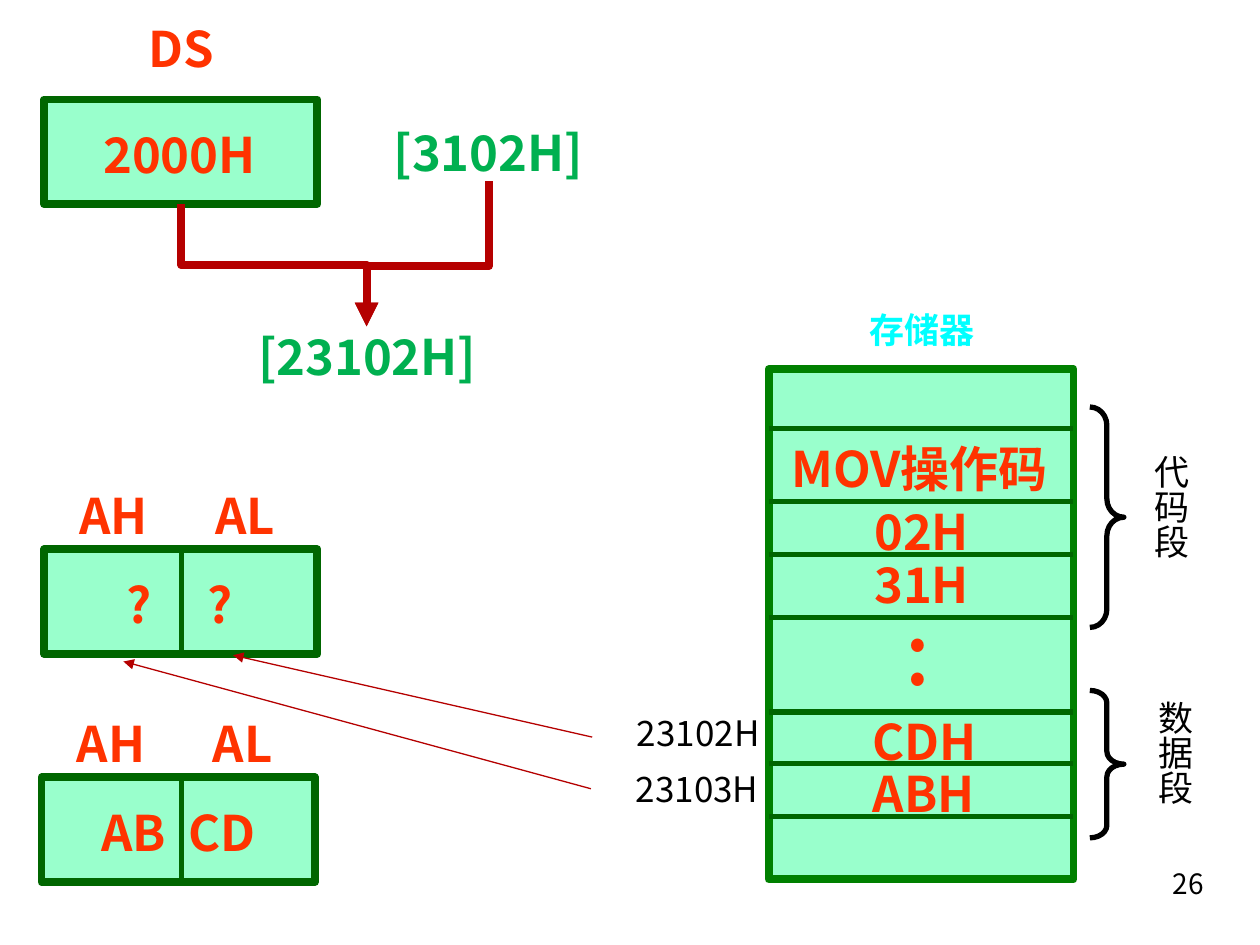
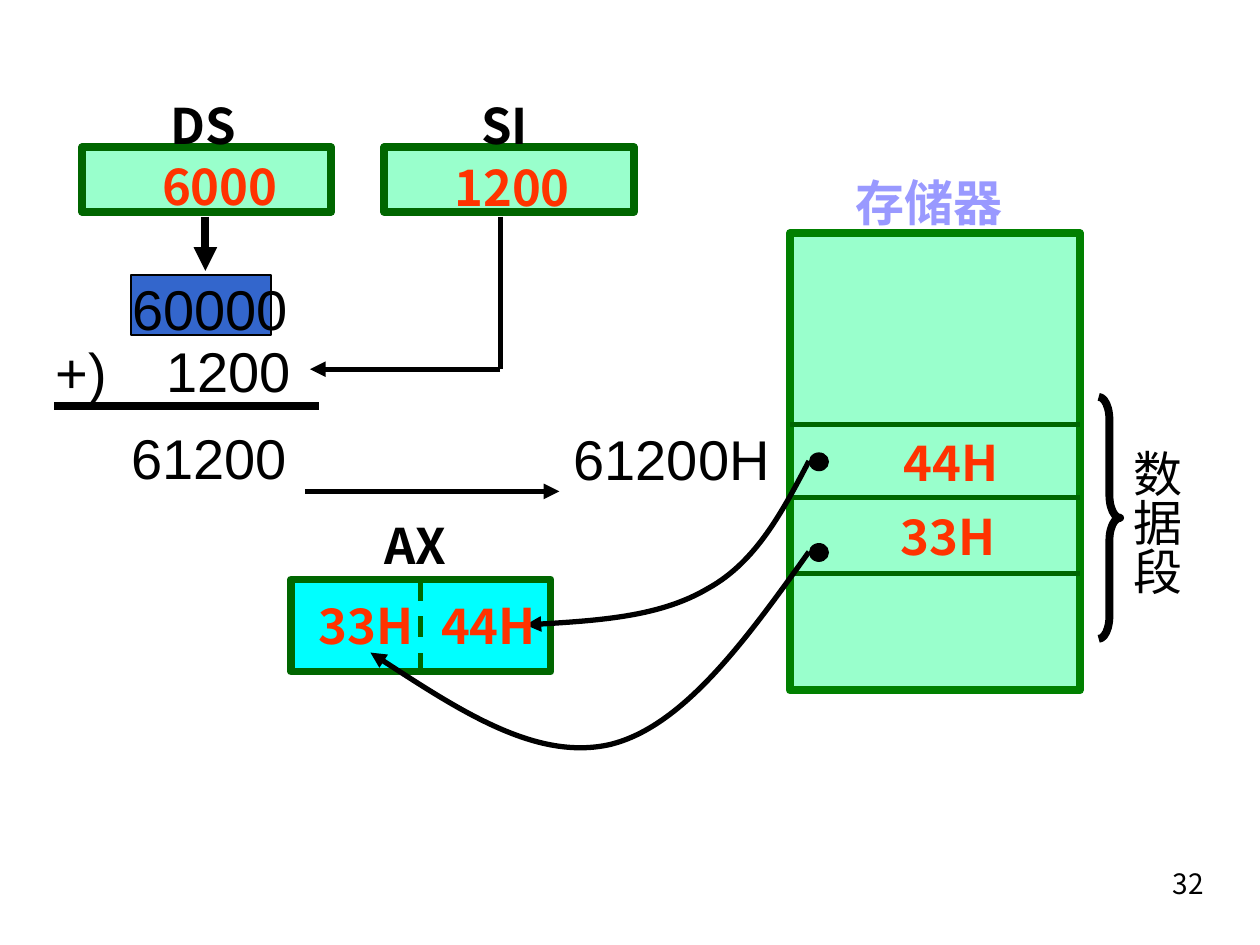
import pptx
import pptx.util
import pptx.dml.color
import pptx.enum.dml
import pptx.enum.shapes
import pptx.enum.text
import pptx.oxml
import pptx.oxml.ns

Inches = pptx.util.Inches
KIND = pptx.enum.shapes.MSO_SHAPE
LINK = pptx.enum.shapes.MSO_CONNECTOR
ALIGN = {
    "l": pptx.enum.text.PP_ALIGN.LEFT,
    "c": pptx.enum.text.PP_ALIGN.CENTER,
    "r": pptx.enum.text.PP_ALIGN.RIGHT,
    "j": pptx.enum.text.PP_ALIGN.JUSTIFY,
}
SANS, CJK = "Arial", "Noto Sans CJK KR"
BLACK, RED, LEAF = "000000", "FF3300", "00B050"
MINT, CYAN, LILAC, BLUE = "99FFCC", "00FFFF", "9999FF", "3366CC"
DARK, GREEN, WINE = "006600", "008000", "B50000"


def color(code):
    """Turn a hex string into a colour."""
    return pptx.dml.color.RGBColor.from_string(code)


def child(parent, tag, **attrs):
    """Append an XML element with attributes and return it."""
    node = pptx.oxml.parse_xml(f"<{tag} {pptx.oxml.ns.nsdecls('a')}/>")
    for key, value in attrs.items():
        node.set(key, str(value))
    parent.append(node)
    return node


def stroke(item, code, width, head=False, dash=False):
    """Set the line of a shape or connector."""
    item.line.color.rgb = color(code)
    item.line.width = pptx.util.Pt(width)
    if dash:
        item.line.dash_style = pptx.enum.dml.MSO_LINE.DASH
    if head:
        child(item.line._get_or_add_ln(), "a:tailEnd", type="triangle")


def write(slide, text, box, size=28, ink=RED, bold=True, font=CJK, align="c",
          inset=(0, 0), space=None, tall=False):
    """Place text in a box, one paragraph for each line."""
    frame = slide.shapes.add_textbox(*map(Inches, box)).text_frame
    frame.word_wrap = True
    frame.margin_left = frame.margin_right = Inches(inset[0])
    frame.margin_top = frame.margin_bottom = Inches(inset[1])
    if tall:
        frame._txBody.bodyPr.set("vert", "eaVert")
    frame.text = text
    for para in frame.paragraphs:
        para.alignment = ALIGN[align]
        para.line_spacing = space
        run = para.runs[0].font
        run.size, run.bold = pptx.util.Pt(size), bold
        run.color.rgb = color(ink)
        run.name = font
        child(run._element, "a:ea", typeface=font)


def shape(slide, kind, box, fill=None, edge=None, width=4.5):
    """Add a preset shape with its fill and line."""
    item = slide.shapes.add_shape(kind, *map(Inches, box))
    item.shadow.inherit = False
    if fill:
        item.fill.solid()
        item.fill.fore_color.rgb = color(fill)
    else:
        item.fill.background()
    if edge:
        stroke(item, edge, width)
    else:
        item.line.fill.background()
    return item


def line(slide, start, end, ink=BLACK, width=3, kind=LINK.STRAIGHT, **style):
    """Add a connector between two points."""
    item = slide.shapes.add_connector(kind, *map(Inches, (*start, *end)))
    stroke(item, ink, width, **style)
    child(item._element.spPr, "a:effectLst")
    return item


def elbow(slide, start, end, bend=0.5):
    """Add an arrow that runs down, across and down again."""
    (x1, y1), (x2, y2) = start, end
    wide, high = abs(x2 - x1), y2 - y1
    midx, midy = (x1 + x2) / 2, (y1 + y2) / 2
    item = line(slide, (midx - high / 2, midy - wide / 2),
                (midx + high / 2, midy + wide / 2), WINE, 4.5, LINK.ELBOW, head=True)
    form = item._element.spPr.xfrm
    form.set("rot", str((270 if x2 > x1 else 90) * 60000))
    if x2 > x1:
        form.set("flipH", "1")
    guides = item._element.spPr.prstGeom.get_or_add_avLst()
    child(guides, "a:gd", name="adj1", fmla=f"val {round(bend * 100000)}")


def curve(slide, *points):
    """Draw an arrow of Bezier pieces: a start, then three points for each piece."""
    start, *rest = [(Inches(x), Inches(y)) for x, y in points]
    pen = slide.shapes.build_freeform(*start)
    pen.add_line_segments(rest, close=False)
    item = pen.convert_to_shape()
    item.shadow.inherit = False
    item.fill.background()
    stroke(item, BLACK, 3, head=True)
    track = item._element.find(".//" + pptx.oxml.ns.qn("a:path"))
    steps = track.findall(pptx.oxml.ns.qn("a:lnTo"))
    for first in range(0, len(steps), 3):
        piece = child(track, "a:cubicBezTo")
        for step in steps[first:first + 3]:
            piece.append(step[0])
            track.remove(step)


def brace(slide, box, bend, width, label, place, size):
    """Mark a segment with a brace and an upright label."""
    item = shape(slide, KIND.RIGHT_BRACE, box, edge=BLACK, width=width)
    item.adjustments[0] = bend
    write(slide, label, place, size, BLACK, False, align="l", tall=True)


def memory(slide, box, rows):
    """Draw the memory block with row lines at the given heights."""
    shape(slide, KIND.RECTANGLE, box, MINT, GREEN)
    left, right = box[0], box[0] + box[2]
    for y in rows:
        line(slide, (left, y), (right, y), DARK)


def pair(slide, left, top, values):
    """Draw the AH and AL register pair, values given with their centres."""
    shape(slide, KIND.RECTANGLE, (left, top, 2.17, 0.83), MINT, DARK)
    line(slide, (1.44, top), (1.44, top + 0.83), DARK)
    write(slide, "AH", (left + 0.25, top - 0.51, 0.6, 0.47))
    write(slide, "AL", (left + 1.36, top - 0.51, 0.62, 0.47), align="l")
    for text, mid in values:
        write(slide, text, (mid - 0.34, top + 0.2, 0.68, 0.47))


def number(slide, text):
    """Place the slide number."""
    write(slide, text, (9.21, 6.83, 0.79, 0.52), 16, BLACK, False,
          align="l", inset=(0.1, 0.05))


def direct(slide):
    """Build the slide on direct addressing."""
    number(slide, "26")
    memory(slide, (6.1, 2.93, 2.42, 4.05), (3.4, 3.98, 4.4, 4.9, 5.65, 6.06, 6.48))
    write(slide, "存储器", (6.9, 2.45, 1.1, 0.4), 20, CYAN, align="l")
    for text, left, top, wide in (
            ("MOV操作码", 6.12, 3.48, 2.36), ("02H", 6.93, 3.98, 0.77),
            ("31H", 6.93, 4.4, 0.77), ("CDH", 6.85, 5.65, 0.97),
            ("ABH", 6.87, 6.06, 0.92)):
        write(slide, text, (left, top, wide, 0.47))
    write(slide, ".\n.", (6.9, 4.96, 0.77, 0.53), 40, space=0.4)
    for text, left, top in (("23102H", 4.7, 5.65), ("23103H", 4.69, 6.09)):
        write(slide, text, (left, top, 1.33, 0.4), 20, BLACK, False, align="r")
    brace(slide, (8.65, 3.23, 0.27, 1.75), 0.54, 3, "代码段", (9.06, 3.61, 0.4, 1.17), 20)
    brace(slide, (8.65, 5.48, 0.27, 1.17), 0.37, 3, "数据段", (9.09, 5.56, 0.4, 1.17), 20)

    shape(slide, KIND.RECTANGLE, (0.35, 0.79, 2.17, 0.83), MINT, DARK)
    write(slide, "DS", (1.14, 0.15, 0.6, 0.47))
    write(slide, "2000H", (0.62, 0.99, 1.61, 0.47))
    write(slide, "[3102H]", (3.07, 0.97, 1.61, 0.47), ink=LEAF)
    write(slide, "[23102H]", (1.85, 2.59, 2.13, 0.47), ink=LEAF)
    elbow(slide, (1.44, 1.62), (2.91, 2.59))
    elbow(slide, (3.88, 1.44), (2.91, 2.59), 0.585)
    pair(slide, 0.35, 4.36, (("?", 1.1), ("?", 1.75)))
    pair(slide, 0.33, 6.17, (("AB", 1.06), ("CD", 1.76)))
    line(slide, (4.7, 5.85), (1.85, 5.2), WINE, 0.75, head=True)
    line(slide, (4.69, 6.26), (0.98, 5.25), WINE, 0.75, head=True)


def total(slide):
    """Draw the address sum with its arrows."""
    shape(slide, KIND.RECTANGLE, (1.04, 2.18, 1.11, 0.48), BLUE, BLACK, 1)
    for text, left, top, wide, align in (
            ("60000", 1.05, 2.18, 1.37, "j"), ("+)", 0.44, 2.68, 0.52, "l"),
            ("1200", 1.32, 2.67, 1.08, "j"), ("61200", 1.04, 3.36, 1.38, "j"),
            ("61200H", 4.29, 3.37, 1.82, "r")):
        write(slide, text, (left, top, wide, 0.53), 32, BLACK, False, SANS, align)
    line(slide, (0.43, 3.22), (2.53, 3.22), width=4.5)
    line(slide, (1.63, 1.72), (1.63, 2.15), width=4.5, head=True)
    line(slide, (3.97, 1.72), (3.97, 2.93))
    line(slide, (3.97, 2.93), (2.46, 2.93), head=True)
    line(slide, (2.42, 3.9), (4.44, 3.9), head=True)


def indexed(slide):
    """Build the slide on indexed addressing."""
    number(slide, "32")
    memory(slide, (6.27, 1.85, 2.3, 3.63), (3.37, 3.95, 4.55))
    write(slide, "存储器", (6.79, 1.37, 1.27, 0.47), ink=LILAC, align="l")
    write(slide, "44H", (7.17, 3.43, 1.12, 0.47), align="l")
    write(slide, "33H", (7.15, 4.02, 1.32, 0.47), align="l")
    for left in (0.65, 3.05):
        shape(slide, KIND.RECTANGLE, (left, 1.17, 1.98, 0.51), MINT, DARK)
    write(slide, "6000", (1.18, 1.24, 1.13, 0.47))
    write(slide, "1200", (3.43, 1.25, 1.27, 0.47))
    for text, left, top in (("DS", 1.18, 0.76), ("SI", 3.57, 0.76), ("AX", 2.86, 4.09)):
        write(slide, text, (left, top, 0.87, 0.47), ink=BLACK)
    total(slide)

    shape(slide, KIND.RECTANGLE, (2.31, 4.6, 2.06, 0.73), CYAN, DARK)
    line(slide, (3.34, 4.6), (3.34, 5.33), DARK, dash=True)
    curve(slide, (6.42, 4.38), (5.92, 5.08), (5.42, 5.77), (4.84, 5.91),
          (4.26, 6.04), (3.6, 5.61), (2.94, 5.18))
    curve(slide, (6.42, 3.66), (6.21, 4.06), (6, 4.46), (5.62, 4.67),
          (5.25, 4.89), (4.71, 4.93), (4.17, 4.96))
    for top in (4.31, 3.59):
        shape(slide, KIND.OVAL, (6.42, top, 0.16, 0.15), BLACK)
    brace(slide, (8.72, 3.15, 0.17, 1.92), 1.06, 4.5, "数据段", (8.94, 3.57, 0.47, 1.23), 28)
    write(slide, "44H", (3.5, 4.73, 0.79, 0.47), align="l")
    write(slide, "33H", (2.53, 4.73, 0.81, 0.47), align="l")


def main():
    """Build and save the deck."""
    deck = pptx.Presentation()
    deck.slide_width, deck.slide_height = Inches(10), Inches(7.5)
    for build in (direct, indexed):
        build(deck.slides.add_slide(deck.slide_layouts[6]))
    deck.save("out.pptx")


main()
